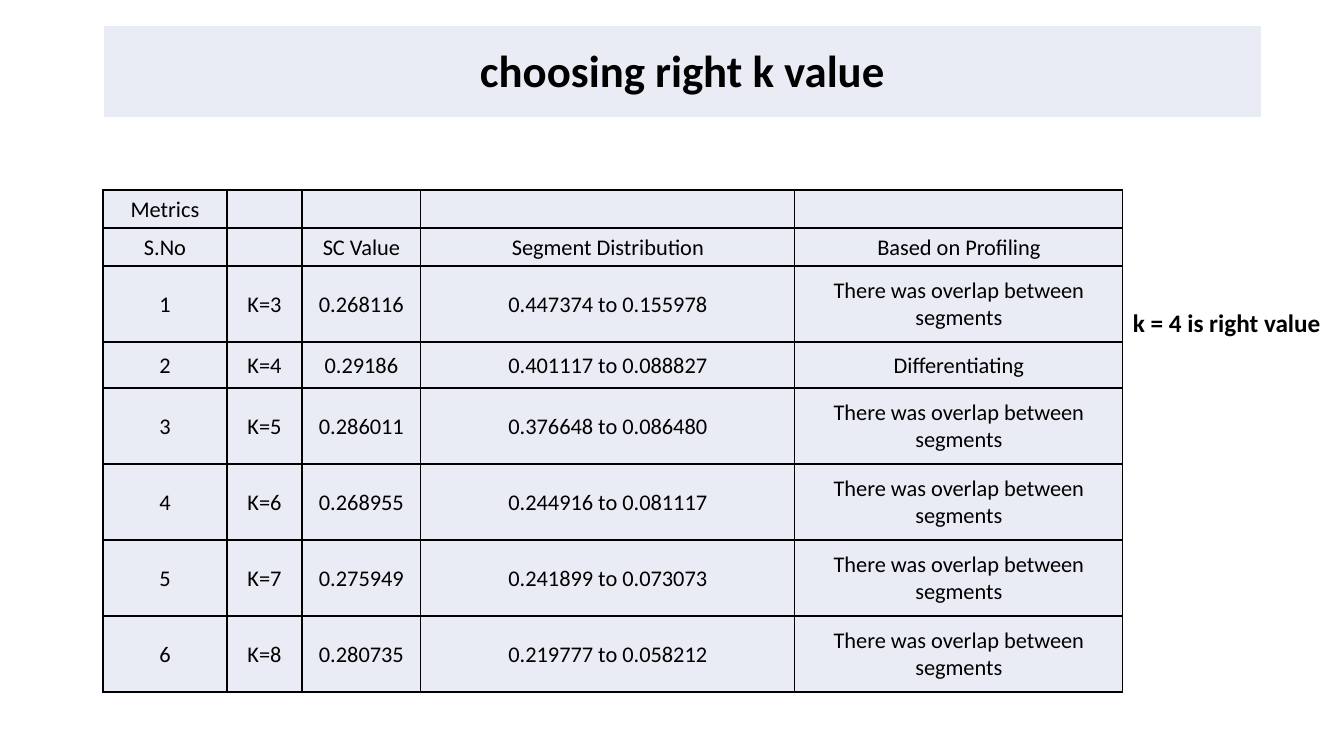
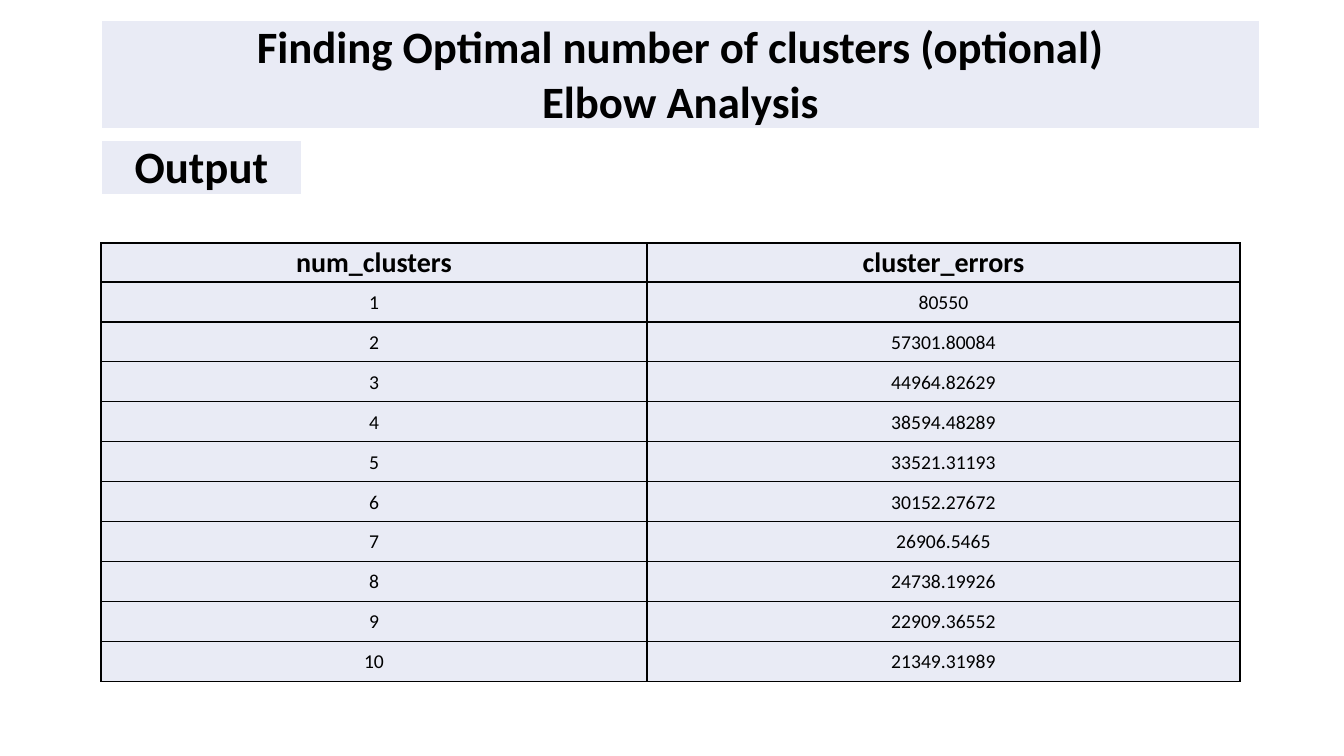
from dataclasses import dataclass

from lxml import etree
from pptx import Presentation
from pptx import util as u
from pptx.dml.color import RGBColor
from pptx.enum import text
from pptx.oxml import ns


@dataclass(frozen=True)
class Theme:
    font: str = "Calibri"
    ink: str = "000000"
    paper: str = "FFFFFF"
    band: str = "E9EBF5"
    title: int = 32
    header: int = 20
    note: int = 18
    body: int = 16
    small: int = 14
    border: float = 1


def px(n):
    return u.Emu(round(n * 914400 / 100.8))


class Deck:
    def __init__(self, theme):
        self.theme = theme
        self.prs = Presentation()
        self.prs.slide_width, self.prs.slide_height = px(1344), px(756)
        self.s = None

    def slide(self):
        self.s = self.prs.slides.add_slide(self.prs.slide_layouts[6])

    def format(self, p, size, bold=False, align=text.PP_ALIGN.CENTER):
        p.alignment = align
        p.font.name = self.theme.font
        p.font.size = u.Pt(size)
        p.font.bold = bold
        p.font.color.rgb = RGBColor.from_string(self.theme.ink)

    # Free text
    def note(self, words, x, y, w, h):
        tf = self.s.shapes.add_textbox(*map(px, (x, y, w, h))).text_frame
        tf.text = words
        tf.word_wrap = False
        self.format(tf.paragraphs[0], self.theme.note, True, text.PP_ALIGN.LEFT)

    # Tables
    def borders(self, cell, color):
        tc_pr = cell._tc.get_or_add_tcPr()
        for i, side in enumerate(("lnL", "lnR", "lnT", "lnB")):
            ln = etree.Element(ns.qn(f"a:{side}"), w=str(u.Pt(self.theme.border)))
            solid = etree.SubElement(ln, ns.qn("a:solidFill"))
            etree.SubElement(solid, ns.qn("a:srgbClr"), val=color)
            tc_pr.insert(i, ln)

    def cell(self, cell, words, size, bold, border):
        cell.text = words
        cell.margin_left = cell.margin_right = cell.margin_top = px(1)
        cell.margin_bottom = 0
        cell.vertical_anchor = text.MSO_ANCHOR.MIDDLE
        cell.fill.solid()
        cell.fill.fore_color.rgb = RGBColor.from_string(self.theme.band)
        self.borders(cell, border)
        self.format(cell.text_frame.paragraphs[0], size, bold)

    def table(self, rows, x, y, widths, heights, size, header_size=None, border=None):
        frame = self.s.shapes.add_table(len(rows), len(widths), px(x), px(y),
                                        px(sum(widths)), px(sum(heights)))
        table = frame.table
        table.first_row = table.horz_banding = False
        for column, w in zip(table.columns, widths):
            column.width = px(w)
        for i, (row, h, values) in enumerate(zip(table.rows, heights, rows)):
            row.height = px(h)
            header = header_size is not None and i == 0
            for cell, value in zip(row.cells, values):
                self.cell(cell, value, header_size if header else size, header,
                          border or self.theme.ink)

    # Headings: a one-cell table on a tinted band
    def band(self, words, x, y, w, h):
        size = self.theme.title
        self.table([(words,)], x, y, [w], [h], size, size, self.theme.paper)


theme = Theme()
deck = Deck(theme)

# Slide 1: comparison of k values
OVERLAP = "There was overlap between segments"
candidates = [
    ("0.268116", "0.447374 to 0.155978", OVERLAP),
    ("0.29186", "0.401117 to 0.088827", "Differentiating"),
    ("0.286011", "0.376648 to 0.086480", OVERLAP),
    ("0.268955", "0.244916 to 0.081117", OVERLAP),
    ("0.275949", "0.241899 to 0.073073", OVERLAP),
    ("0.280735", "0.219777 to 0.058212", OVERLAP),
]
metrics = [
    ("Metrics", "", "", "", ""),
    ("S.No", "", "SC Value", "Segment Distribution", "Based on Profiling"),
    *((str(n), f"K={n + 2}", *values) for n, values in enumerate(candidates, 1)),
]
heights = [38, 38] + [76 if c[-1] == OVERLAP else 46 for c in candidates]

deck.slide()
deck.band("choosing right k value", 103, 25, 1159, 93)
deck.table(metrics, 103, 190, [124, 75, 119, 374, 328], heights, theme.body)
deck.note("k = 4 is right value", 1123, 302, 216, 40)

# Slide 2: errors by number of clusters
errors = ["80550", "57301.80084", "44964.82629", "38594.48289", "33521.31193",
          "30152.27672", "26906.5465", "24738.19926", "22909.36552", "21349.31989"]
clusters = [("num_clusters", "cluster_errors"),
            *((str(n), error) for n, error in enumerate(errors, 1))]

deck.slide()
deck.band("Finding Optimal number of clusters (optional)\vElbow Analysis",
          101, 20, 1159, 108)
deck.band("Output", 101, 140, 201, 54)
deck.table(clusters, 101, 243, [546, 593], [39] + [40] * len(errors),
           theme.small, theme.header)

deck.prs.save("out.pptx")
